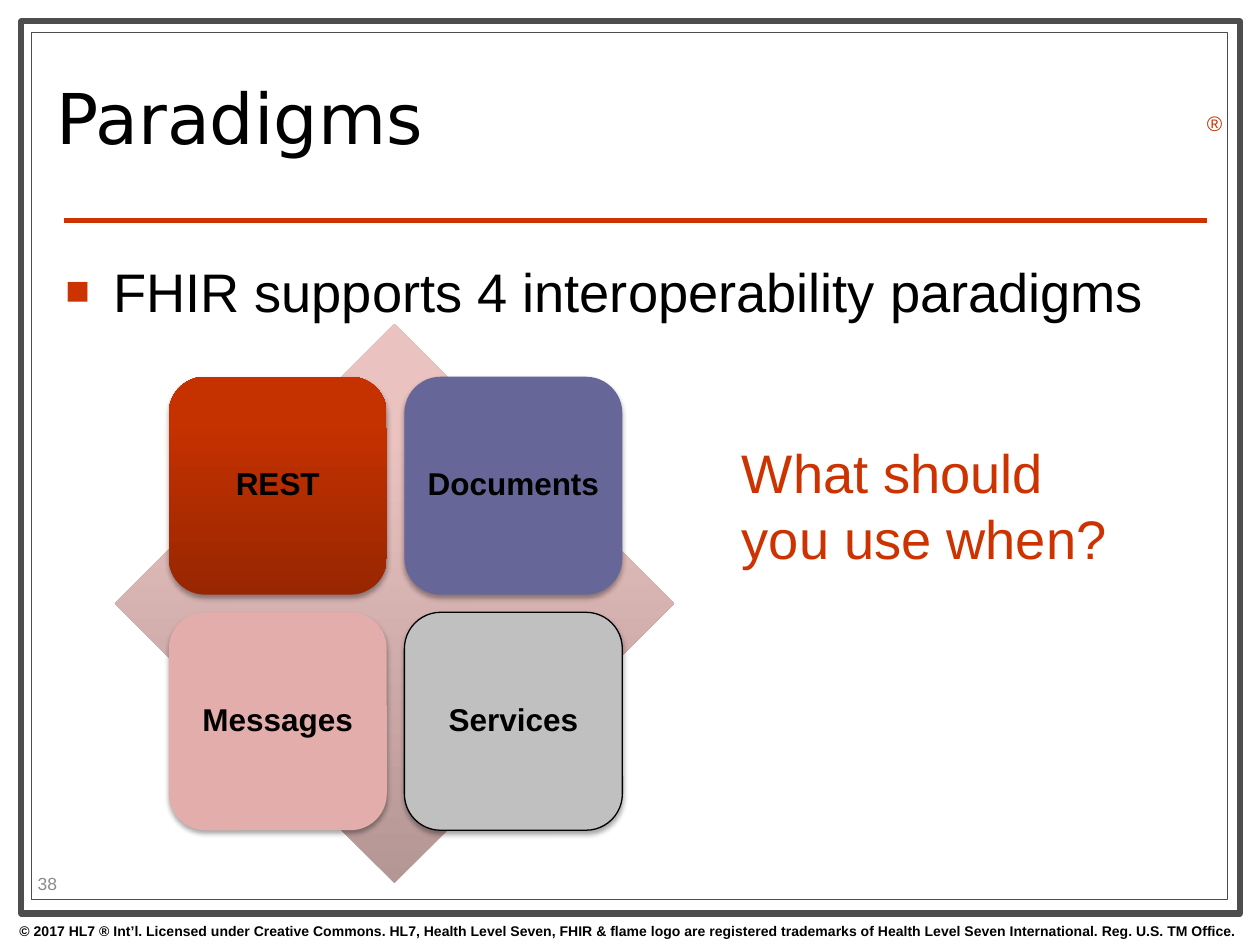
from pptx import Presentation
from pptx.dml.color import RGBColor
from pptx.enum.shapes import MSO_CONNECTOR as Connector, MSO_SHAPE as Shape
from pptx.enum.text import MSO_ANCHOR as Anchor, PP_ALIGN as Align
from pptx.oxml import parse_xml
from pptx.oxml.ns import nsdecls, qn
from pptx.util import Inches, Pt

WHITE = RGBColor(0xFF, 0xFF, 0xFF)
BLACK = RGBColor(0x00, 0x00, 0x00)
FRAME_GRAY = RGBColor(0x4D, 0x4D, 0x4D)
NUMBER_GRAY = RGBColor(0x8C, 0x8C, 0x8C)
RED = RGBColor(0xCC, 0x33, 0x00)
PURPLE = RGBColor(0x66, 0x66, 0x99)
PINK = RGBColor(0xE2, 0xAD, 0xAA)
SILVER = RGBColor(0xC0, 0xC0, 0xC0)
DEEP_REDS = (RGBColor(0x98, 0x26, 0x00), RGBColor(0xC6, 0x31, 0x00), RGBColor(0xC7, 0x32, 0x00))
PALE_PINKS = (RGBColor(0xB4, 0x96, 0x95), RGBColor(0xEA, 0xC3, 0xC1), RGBColor(0xEC, 0xC3, 0xC1))

TILE_SIZE, TILE_STEP = 1.73, 1.87
TILES_LEFT, TILES_TOP = 1.34, 2.99
TILES = [
    ("REST", DEEP_REDS, None),
    ("Documents", PURPLE, None),
    ("Messages", PINK, None),
    ("Services", SILVER, BLACK),
]


def set_fill(shape, fill):
    """Fill with one colour, or with three colours running from bottom to top."""
    if isinstance(fill, RGBColor):
        shape.fill.solid()
        shape.fill.fore_color.rgb = fill
        return
    stops = "".join(
        f'<a:gs pos="{position * 1000}"><a:srgbClr val="{color}"/></a:gs>'
        for position, color in zip((0, 80, 100), fill)
    )
    gradient = parse_xml(
        f'<a:gradFill {nsdecls("a")} rotWithShape="1"><a:gsLst>{stops}</a:gsLst>'
        '<a:lin ang="16200000" scaled="0"/></a:gradFill>'
    )
    shape._element.spPr.find(qn("a:prstGeom")).addnext(gradient)


def add_shape(page, kind, left, top, width, height, fill, line=None, line_width=0.75):
    shape = page.shapes.add_shape(kind, Inches(left), Inches(top), Inches(width), Inches(height))
    set_fill(shape, fill)
    if line is None:
        shape.line.fill.background()
    else:
        shape.line.color.rgb = line
        shape.line.width = Pt(line_width)
    shape.shadow.inherit = False
    return shape


def add_soft_shadow(shape):
    shape._element.spPr.find(qn("a:effectLst")).append(parse_xml(
        f'<a:outerShdw {nsdecls("a")} blurRad="{Pt(3.1)}" dist="{Pt(1.8)}" dir="5400000" rotWithShape="0">'
        '<a:srgbClr val="000000"><a:alpha val="35000"/></a:srgbClr></a:outerShdw>'
    ))


def style_text(para, size, color, bold=False, font="Arial"):
    for span in para.runs:
        span.font.name = font
        span.font.size = Pt(size)
        span.font.bold = bold
        span.font.color.rgb = color


def add_text(page, text, left, top, width, height, size, color, anchor=Anchor.TOP, **style):
    box = page.shapes.add_textbox(Inches(left), Inches(top), Inches(width), Inches(height))
    frame = box.text_frame
    frame.word_wrap = True
    frame.vertical_anchor = anchor
    frame.text = text
    para = frame.paragraphs[0]
    style_text(para, size, color, **style)
    return para


def add_square_bullet(para):
    properties = para._p.get_or_add_pPr()
    properties.set("marL", str(Inches(0.38)))
    properties.set("indent", str(Inches(-0.38)))
    for tag in (
        f'<a:buClr {nsdecls("a")}><a:srgbClr val="{RED}"/></a:buClr>',
        f'<a:buSzPct {nsdecls("a")} val="75000"/>',
        f'<a:buFont {nsdecls("a")} typeface="Arial"/>',
        f'<a:buChar {nsdecls("a")} char="■"/>',
    ):
        properties.append(parse_xml(tag))


def add_rule(page, left, right, y):
    rule = page.shapes.add_connector(
        Connector.STRAIGHT, Inches(left), Inches(y), Inches(right), Inches(y))
    rule.line.color.rgb = RED
    rule.line.width = Pt(3)
    rule._element.spPr.append(parse_xml(f'<a:effectLst {nsdecls("a")}/>'))


def add_tile(page, label, left, top, fill, line):
    tile = add_shape(page, Shape.ROUNDED_RECTANGLE, left, top, TILE_SIZE, TILE_SIZE, fill, line)
    add_soft_shadow(tile)
    frame = tile.text_frame
    frame.word_wrap = True
    frame.vertical_anchor = Anchor.MIDDLE
    frame.margin_left = frame.margin_right = Inches(0.07)
    frame.margin_top = frame.margin_bottom = Inches(0.07)
    frame.text = label
    para = frame.paragraphs[0]
    para.alignment = Align.CENTER
    para.line_spacing = 0.9
    style_text(para, 18, BLACK, bold=True)


def add_page_frame(page):
    add_shape(page, Shape.RECTANGLE, 0.17, 0.17, 9.67, 7.08, WHITE, FRAME_GRAY, 3.5)
    add_shape(page, Shape.RECTANGLE, 0.25, 0.26, 9.49, 6.88, WHITE, FRAME_GRAY)
    add_rule(page, 0.51, 9.58, 1.75)
    notice = add_text(
        page,
        "© 2017 HL7 ® Int’l. Licensed under Creative Commons. HL7, Health Level Seven, "
        "FHIR & flame logo are registered trademarks of Health Level Seven International. "
        "Reg. U.S. TM Office.",
        -0.01, 7.27, 10, 0.23, 8, BLACK, bold=True)
    notice.alignment = Align.CENTER
    add_text(page, "®", 9.48, 0.83, 0.31, 0.3, 12, RED)
    add_text(page, "38", 0.2, 6.89, 0.79, 0.24, 10, NUMBER_GRAY, Anchor.MIDDLE)


def add_paradigm_matrix(page):
    add_shape(page, Shape.DIAMOND, 0.91, 2.57, 4.44, 4.44, PALE_PINKS)
    for index, (label, fill, line) in enumerate(TILES):
        row, column = divmod(index, 2)
        add_tile(page, label, TILES_LEFT + column * TILE_STEP, TILES_TOP + row * TILE_STEP, fill, line)


def main():
    deck = Presentation()
    deck.slide_width, deck.slide_height = Inches(10), Inches(7.5)
    page = deck.slides.add_slide(deck.slide_layouts[6])
    add_page_frame(page)
    title = add_text(page, "Paradigms", 0.35, 0.36, 7.17, 1.26, 40, BLACK,
                     Anchor.MIDDLE, font="DejaVu Sans")
    title.line_spacing = 0.8
    point = add_text(page, "FHIR supports 4 interoperability paradigms",
                     0.42, 2, 9.17, 5.06, 31, BLACK)
    add_square_bullet(point)
    add_paradigm_matrix(page)
    add_text(page, "What should you use when?", 5.79, 3.44, 3.23, 1.42, 31, RED)
    deck.save("out.pptx")


if __name__ == "__main__":
    main()
